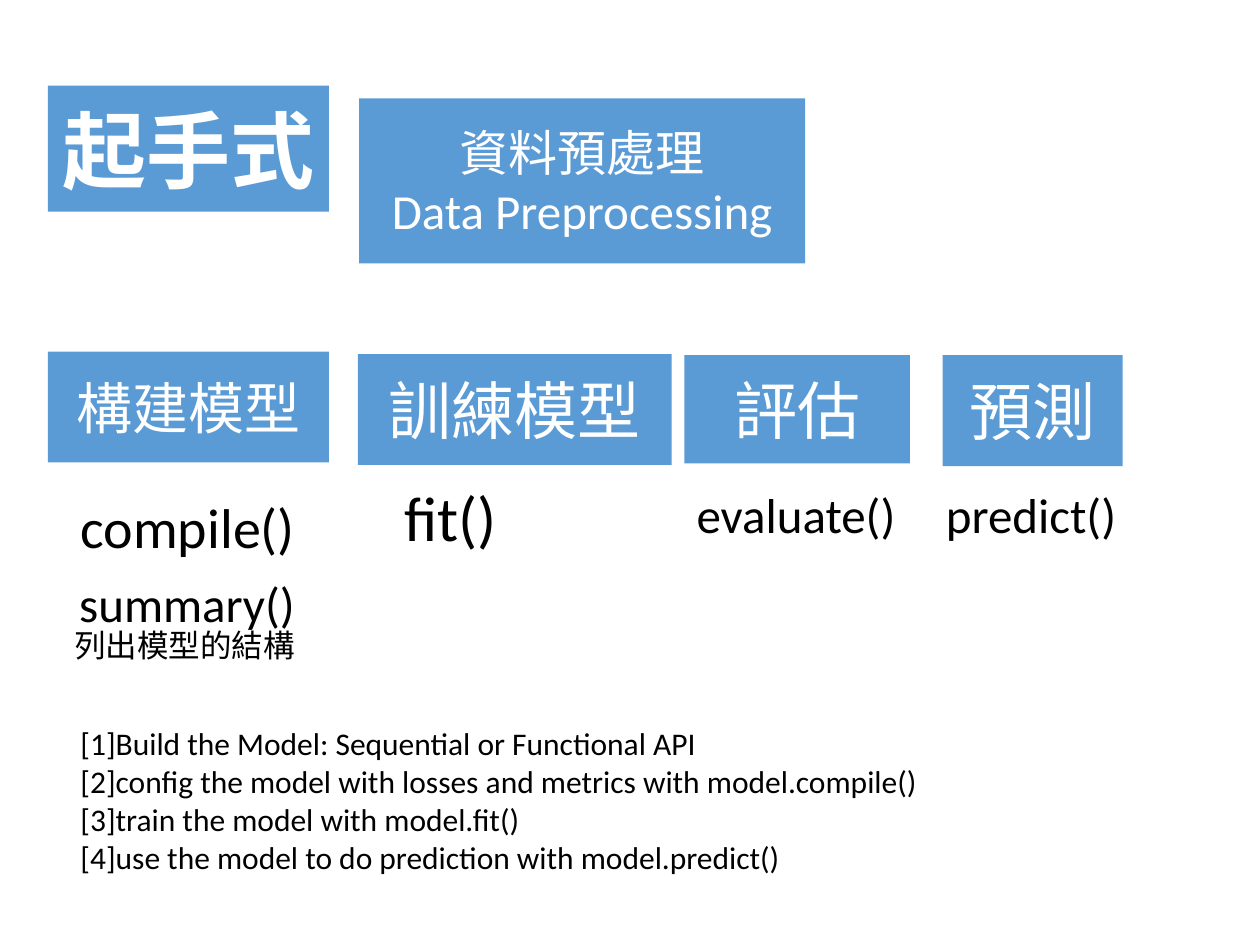
import pptx
import pptx.dml.color
import pptx.enum.shapes
import pptx.enum.text
import pptx.util
from pptx.util import Pt

RGB = pptx.dml.color.RGBColor.from_string
ALIGN = pptx.enum.text.PP_ALIGN
ANCHOR = pptx.enum.text.MSO_ANCHOR
AUTO_SIZE = pptx.enum.text.MSO_AUTO_SIZE

THEME = {
    "font": "Calibri",
    "box": RGB("5B9BD5"),
    "on_box": RGB("FFFFFF"),
    "ink": RGB("000000"),
    "title": 48, "huge": 36, "large": 32, "medium": 28, "small": 18,
}

# lines, type size, (left, top, width, height) in points
STAGES = [
    (["起手式"], "title", (27.4, 49, 160.6, 72)),
    (["資料預處理", "Data Preprocessing"], "medium", (205.2, 56.2, 254.9, 94.3)),
    (["構建模型"], "large", (27.4, 200.9, 160.6, 63.4)),
    (["訓練模型"], "huge", (204.5, 202.3, 179.3, 63.4)),
    (["評估"], "huge", (391, 203, 128.9, 61.9)),
    (["預測"], "huge", (538.6, 203, 103, 63.4)),
]
METHODS = [
    (["compile()"], "large", (38.9, 277.9, 138.2, 46.1)),
    (["fit()"], "huge", (223.9, 270, 68.4, 51.1)),
    (["evaluate()"], "medium", (391, 273.6, 128.9, 41)),
    (["predict()"], "medium", (533.5, 273.6, 113, 41)),
    (["summary()"], "medium", (38.2, 324, 139, 41)),
    (["列出模型的結構"], "small", (35.3, 354.2, 141.8, 28.8)),
]
STEPS = ([
    "[1]Build the Model: Sequential or Functional API",
    "[2]config the model with losses and metrics with model.compile()",
    "[3]train the model with model.fit()",
    "[4]use the model to do prediction with model.predict()",
], "small", (38.9, 410.4, 534.2, 94.3))


def write(frame, lines, size, color, align):
    for index, line in enumerate(lines):
        paragraph = frame.paragraphs[0] if index == 0 else frame.add_paragraph()
        paragraph.alignment = align
        run = paragraph.add_run()
        run.text = line
        run.font.name = THEME["font"]
        run.font.size = Pt(THEME[size])
        run.font.bold = size == "title"
        run.font.color.rgb = color


def add_stage(slide, lines, size, place):
    stage = slide.shapes.add_shape(
        pptx.enum.shapes.MSO_SHAPE.RECTANGLE, *map(Pt, place))
    stage.shadow.inherit = False
    stage.fill.solid()
    stage.fill.fore_color.rgb = THEME["box"]
    stage.line.fill.background()
    stage.text_frame.vertical_anchor = ANCHOR.MIDDLE
    write(stage.text_frame, lines, size, THEME["on_box"], ALIGN.CENTER)


def add_label(slide, lines, size, place, wrap=False):
    frame = slide.shapes.add_textbox(*map(Pt, place)).text_frame
    frame.word_wrap = wrap
    frame.auto_size = AUTO_SIZE.SHAPE_TO_FIT_TEXT
    write(frame, lines, size, THEME["ink"], ALIGN.LEFT)


def main():
    deck = pptx.Presentation()
    deck.slide_width, deck.slide_height = Pt(720), Pt(540)
    slide = deck.slides.add_slide(deck.slide_layouts[6])
    for stage in STAGES:
        add_stage(slide, *stage)
    for method in METHODS:
        add_label(slide, *method)
    add_label(slide, *STEPS, wrap=True)
    deck.save("out.pptx")


if __name__ == "__main__":
    main()
